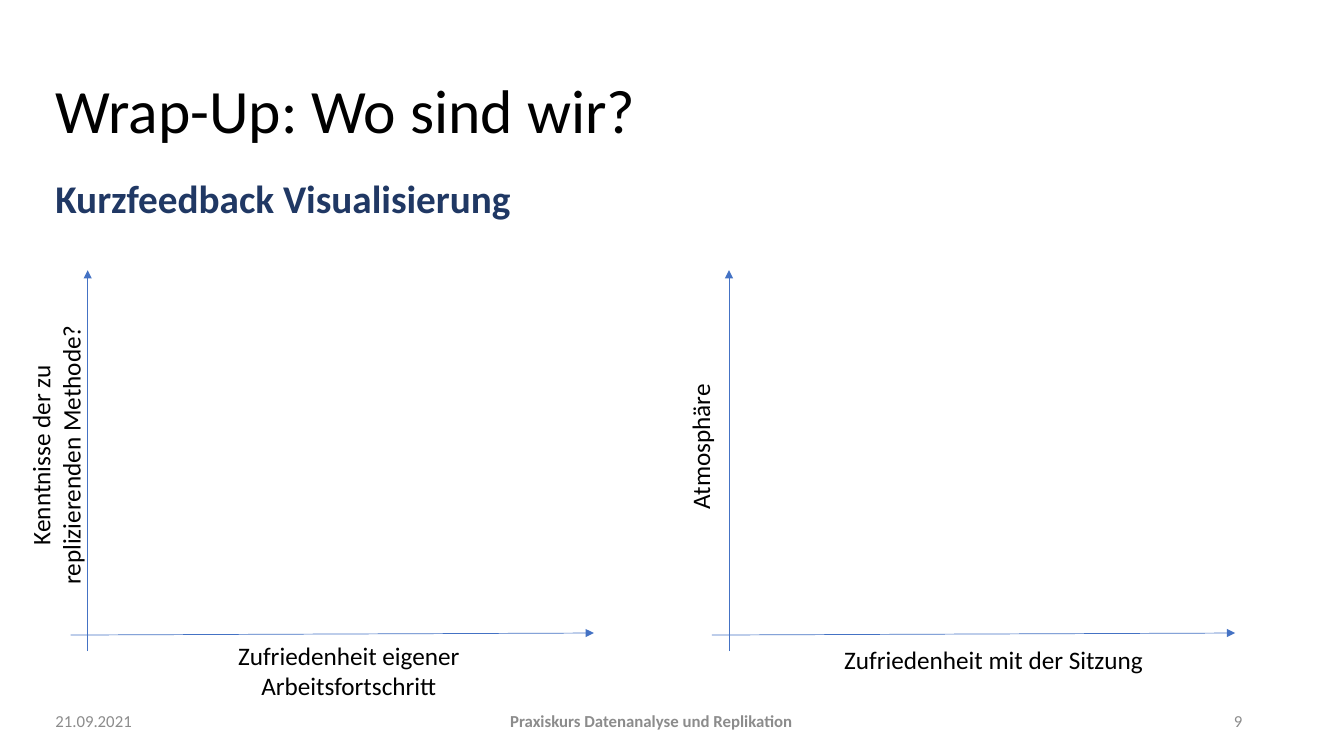
from lxml.etree import SubElement
from pptx import Presentation
from pptx.dml.color import RGBColor
from pptx.enum.shapes import MSO_CONNECTOR
from pptx.enum.text import MSO_ANCHOR, PP_ALIGN
from pptx.oxml.ns import qn
from pptx.util import Inches, Pt

BLACK = RGBColor(0x00, 0x00, 0x00)
NAVY = RGBColor(0x20, 0x38, 0x64)
GREY = RGBColor(0x8C, 0x8C, 0x8C)
BLUE = RGBColor(0x44, 0x72, 0xC4)

TITLE = "Wrap-Up: Wo sind wir?"
SUBTITLE = "Kurzfeedback Visualisierung"
FOOTER = [
    ("21.09.2021", 0.45, 1.49, PP_ALIGN.LEFT, False),
    ("Praxiskurs Datenanalyse und Replikation", 2.17, 8.58, PP_ALIGN.CENTER, True),
    ("9", 10.92, 1.5, PP_ALIGN.RIGHT, False),
]
AXIS_LABELS = [
    ("Zufriedenheit eigener Arbeitsfortschritt", (2, 6.3, 2.92, 0.71), 0),
    ("Zufriedenheit mit der Sitzung", (8.2, 6.34, 3.31, 0.4), 0),
    ("Atmosphäre", (5.29, 4.23, 3.31, 0.4), 270),
    ("Kenntnisse der zu replizierenden Methode?", (-1.1, 4.16, 3.31, 0.71), 270),
]
LEFT_MARGIN = 0.45
DIAGRAM_LEFTS = (0.7, 7.06)
AXIS_WIDTH, AXIS_TOP, AXIS_BOTTOM = 5.19, 2.68, 6.46
AXIS_INSET, BASELINE, BASELINE_RISE = 0.17, 6.3, 0.02


def write(box, text, size, color, align=PP_ALIGN.LEFT, bold=False, anchor=MSO_ANCHOR.TOP):
    frame = box.text_frame
    frame.word_wrap = True
    frame.vertical_anchor = anchor
    para = frame.paragraphs[0]
    para.text = text
    para.alignment = align
    para.font.name = "Calibri"
    para.font.size = Pt(size)
    para.font.bold = bold
    para.font.color.rgb = color
    return para


def place(box, left, top, width, height):
    box.left, box.top = Inches(left), Inches(top)
    box.width, box.height = Inches(width), Inches(height)


def add_text(page, frame, text, *style, **options):
    box = page.shapes.add_textbox(*map(Inches, frame))
    return box, write(box, text, *style, **options)


def add_arrow(page, *ends):
    arrow = page.shapes.add_connector(MSO_CONNECTOR.STRAIGHT, *map(Inches, ends))
    arrow.line.color.rgb = BLUE
    arrow.line.width = Pt(0.5)
    SubElement(arrow.line._get_or_add_ln(), qn("a:tailEnd"), type="triangle")
    SubElement(arrow._element.spPr, qn("a:effectLst"))


def main():
    deck = Presentation()
    deck.slide_width, deck.slide_height = Inches(13.33), Inches(7.5)
    page = deck.slides.add_slide(deck.slide_layouts[5])

    title = page.shapes.title
    place(title, LEFT_MARGIN, 0.4, 10.3, 1.45)
    write(title, TITLE, 44, BLACK, anchor=MSO_ANCHOR.MIDDLE).line_spacing = 0.9

    _, subtitle = add_text(page, (LEFT_MARGIN, 1.73, 11.96, 0.54), SUBTITLE, 28, NAVY, bold=True)
    subtitle.line_spacing = 0.9

    for text, left, width, align, bold in FOOTER:
        add_text(page, (left, 6.95, width, 0.4), text, 12, GREY, align, bold, MSO_ANCHOR.MIDDLE)

    for left in DIAGRAM_LEFTS:
        add_arrow(page, left, BASELINE, left + AXIS_WIDTH, BASELINE - BASELINE_RISE)
        add_arrow(page, left + AXIS_INSET, AXIS_BOTTOM, left + AXIS_INSET, AXIS_TOP)

    for text, frame, rotation in AXIS_LABELS:
        box, _ = add_text(page, frame, text, 18, BLACK, PP_ALIGN.CENTER)
        box.rotation = rotation

    deck.save("out.pptx")


if __name__ == "__main__":
    main()
